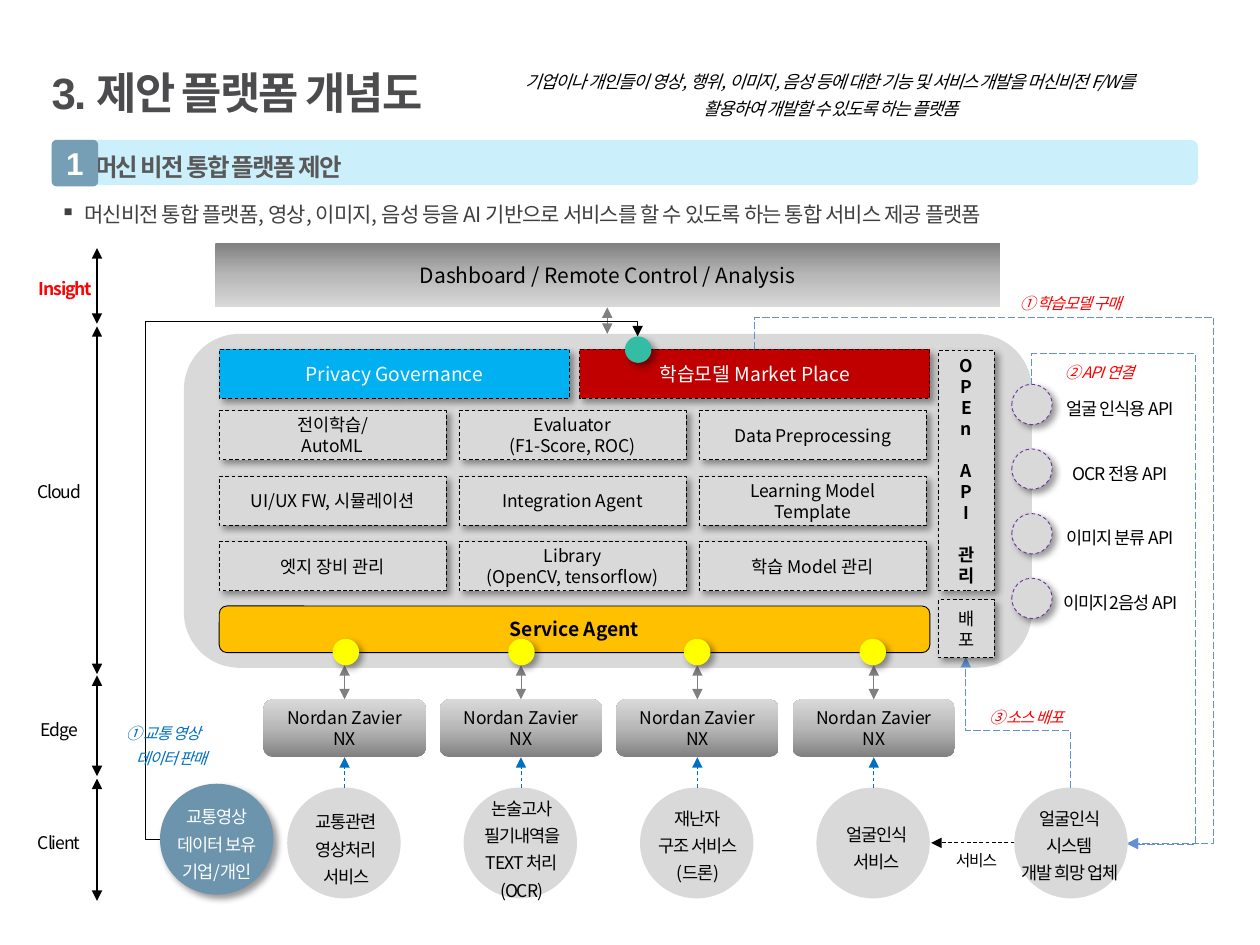
from copy import deepcopy

from lxml import etree
from pptx import Presentation
from pptx.dml.color import RGBColor
from pptx.enum import dml, shapes, text
from pptx.oxml.ns import qn
from pptx.util import Inches, Pt

THEME = {
    "latin": "Noto Sans CJK KR", "heading": "Arial",
    "black": "000000", "white": "FFFFFF", "panel": "D9D9D9", "gray": "808080",
    "title": "4C4C4E", "banner": "00B0F0", "banner_text": "595959", "badge": "769FB6",
    "body": "404040", "red": "FF0000", "market": "C00000", "agent": "FFC000",
    "port": "FFFF00", "api": "7030A0", "flow": "6390D4", "blue": "0070C0",
    "seller": "6C95AD", "hub": "33BDA4", "ramp": ("808080", "B7B7B7", "D9D9D9"),
    "sz_title": 25, "sz_banner": 14, "sz_badge": 18, "sz_lead": 12, "sz_bar": 11,
    "sz_text": 10, "sz_note": 9,
}

SUMMARY = ["기업이나 개인들이 영상, 행위, 이미지, 음성 등에 대한 기능 및 서비스 개발을 머신비전 F/W를",
           "활용하여 개발할 수 있도록 하는 플랫폼"]
LEAD = "머신비전 통합 플랫폼, 영상, 이미지, 음성 등을 AI 기반으로 서비스를 할 수 있도록 하는 통합 서비스 제공 플랫폼"
# name, label left, label top, axis start, axis end, colour
LAYERS = [("Insight", 0.12, 2.16, 1.97, 2.57, "red"), ("Cloud", 0.07, 3.77, 2.59, 5.35, "black"),
          ("Edge", 0.07, 5.66, 5.36, 6.16, "black"), ("Client", 0.07, 6.55, 6.18, 7.15, "black")]
MODULES = [[["전이학습/", "AutoML"], ["Evaluator", "(F1-Score, ROC)"], ["Data Preprocessing"]],
           [["UI/UX FW, 시뮬레이션"], ["Integration Agent"], ["Learning Model Template"]],
           [["엣지 장비 관리"], ["Library", "(OpenCV, tensorflow)"], ["학습 Model 관리"]]]
EDGE_DEVICE = "Nordan Zavier NX"
# text, left, top
CLIENTS = [(["교통관련", "영상처리", "서비스"], 2.35, 6.39),
           (["논술고사", "필기내역을 TEXT 처리", "(OCR)"], 3.74, 6.28),
           (["재난자", "구조 서비스(드론)"], 5.14, 6.36),
           (["얼굴인식", "서비스"], 6.56, 6.49)]
APIS = ["얼굴 인식용 API", "OCR 전용 API", "이미지 분류 API", "이미지2음성 API"]
# text, left, top, width, colour, italic
NOTES = [(["① 학습모델 구매"], 7.89, 2.29, 1.21, "red", True),
         (["② API 연결"], 8.12, 2.83, 1.21, "red", True),
         (["③ 소스 배포"], 7.54, 5.57, 1.21, "red", True),
         (["서비스"], 7.35, 6.71, 0.8, "black", False)]
# frame, rotation, flip, preset, adjustments, colour, dash
FLOWS = {
    "purchase": ((5.51, 3.25, 3.92, 2.96), 270, "flipH", "bentConnector4", (-0.064, 1.231), "flow", "LONG_DASH"),
    "api": ((6.75, 4.5, 3.64, 0.76), 270, "flipH", "bentConnector4", (-0.069, 1.711), "flow", "LONG_DASH"),
    "deploy": ((7.56, 5.32, 1.04, 0.83), 270, "flipV", "bentConnector3", (0.439,), "flow", "LONG_DASH"),
    "sale": ((1.27, 2.67, 3.79, 3.99), 180, "flipH", "bentConnector4", (-0.03, 1.029), "black", None),
}

prs = Presentation()
prs.slide_width, prs.slide_height = Inches(10), Inches(7.5)
slide = prs.slides.add_slide(prs.slide_layouts[6])
SHAPE = shapes.MSO_SHAPE


def rgb(name):
    return RGBColor.from_string(THEME[name])


def sub(parent, tag, **attrs):
    return etree.SubElement(parent, qn(tag), {key: str(value) for key, value in attrs.items()})


def write(frame, lines, size="sz_text", color="black", bold=False, italic=False,
          spacing=0, leading=None, font="latin", align="CENTER"):
    frame.word_wrap = True
    frame.text = "\n".join(lines)
    for paragraph in frame.paragraphs:
        paragraph.alignment = getattr(text.PP_ALIGN, align)
        if leading:
            paragraph.line_spacing = leading
        for run in paragraph.runs:
            run.font.size, run.font.name = Pt(THEME[size]), THEME[font]
            run.font.bold, run.font.italic = bold, italic
            run.font.color.rgb = rgb(color)
            props = run._r.get_or_add_rPr()
            props.set("spc", str(round(spacing * 100)))
            sub(props, "a:ea", typeface=THEME["latin"])
    return frame


def label(box, lines, **style):
    frame = slide.shapes.add_textbox(*map(Inches, box)).text_frame
    frame.margin_left = frame.margin_right = frame.margin_top = frame.margin_bottom = 0
    return write(frame, lines, **{"spacing": -0.6, "leading": 1.3, **style})


def block(kind, box, fill="panel", lines=(), line=None, dash=True, shadow=False, **style):
    shape = slide.shapes.add_shape(kind, *map(Inches, box))
    shape.shadow.inherit = False
    shape.fill.solid()
    shape.fill.fore_color.rgb = rgb(fill)
    if line:
        shape.line.color.rgb, shape.line.width = rgb(line), Pt(0.5)
        if dash:
            shape.line.dash_style = dml.MSO_LINE.DASH
    else:
        shape.line.fill.background()
    if shadow:
        effects = shape._element.spPr.find(qn("a:effectLst"))
        outer = sub(effects, "a:outerShdw", blurRad=Pt(4), dist=Pt(3), dir=45 * 60000, algn="tl", rotWithShape=0)
        sub(sub(outer, "a:srgbClr", val=THEME["black"]), "a:alpha", val=40000)
    if lines:
        shape.text_frame.vertical_anchor = text.MSO_ANCHOR.MIDDLE
        write(shape.text_frame, lines, **style)
    return shape


def ramp(shape, angle):
    """Three-stop gray gradient; the angle runs counter-clockwise."""
    shape.fill.gradient()
    shape.fill.gradient_angle = angle
    stops = shape._element.spPr.find(".//" + qn("a:gsLst"))
    stops.insert(1, deepcopy(stops[0]))
    for stop, position, color in zip(shape.fill.gradient_stops, (0, 0.5, 1), THEME["ramp"]):
        stop.position, stop.color.rgb = position, RGBColor.from_string(color)


def arrow(start, end, color, width=0.5, dash=None, both=False, kind="STRAIGHT"):
    link = slide.shapes.add_connector(getattr(shapes.MSO_CONNECTOR, kind), *map(Inches, start + end))
    link.line.color.rgb, link.line.width = rgb(color), Pt(width)
    if dash:
        link.line.dash_style = getattr(dml.MSO_LINE, dash)
    ln = link.line._get_or_add_ln()
    if both:
        sub(ln, "a:headEnd", type="triangle")
    sub(ln, "a:tailEnd", type="triangle")
    sub(link._element.spPr, "a:effectLst")
    return link


def flow(name):
    (x, y, w, h), turn, flip, preset, adjustments, color, dash = FLOWS[name]
    props = arrow((x, y), (x + w, y + h), color, dash=dash, kind="ELBOW")._element.spPr
    frame = props.find(qn("a:xfrm"))
    frame.set("rot", str(turn * 60000))
    frame.set(flip, "1")
    geometry = props.find(qn("a:prstGeom"))
    geometry.set("prst", preset)
    guides = geometry.find(qn("a:avLst"))
    if guides is None:
        guides = sub(geometry, "a:avLst")
    for number, value in enumerate(adjustments, 1):
        sub(guides, "a:gd", name=f"adj{number}", fmla=f"val {round(value * 100000)}")


# Heading
label((0.41, 0.57, 8.92, 0.48), ["3. 제안 플랫폼 개념도"], size="sz_title", color="title", bold=True,
      font="heading", spacing=-1, leading=0.9, align="LEFT")
label((3.56, 0.51, 6.07, 0.53), SUMMARY, italic=True)
banner = block(SHAPE.ROUNDED_RECTANGLE, (0.41, 1.11, 9.1, 0.36), "banner", ["머신 비전 통합 플랫폼 제안"],
               size="sz_banner", color="banner_text", bold=True, font="heading", spacing=-1,
               leading=1.3, align="LEFT")
sub(banner._element.spPr.find(qn("a:solidFill"))[0], "a:alpha", val=20000)
banner.text_frame.paragraphs[0]._p.get_or_add_pPr().set("marL", str(Inches(0.23)))
badge = block(SHAPE.ROUNDED_RECTANGLE, (0.41, 1.11, 0.37, 0.37), "badge", ["1"], size="sz_badge",
              color="white", bold=True, font="heading", spacing=-0.5)
badge.adjustments[0] = 0.11
badge.text_frame.margin_left = badge.text_frame.margin_right = 0
lead = label((0.48, 1.6, 9.14, 0.2), [LEAD], size="sz_lead", color="body", spacing=-0.5,
             leading=None, align="LEFT").paragraphs[0]
lead.space_before = lead.space_after = Pt(3)
bullet = lead._p.get_or_add_pPr()
bullet.set("marL", str(Inches(0.19)))
bullet.set("indent", str(Inches(-0.19)))
sub(bullet, "a:buChar", char="▪")

# Layer axis
for name, x, y, top, bottom, color in LAYERS:
    arrow((0.77, top), (0.77, bottom), "black", 1, both=True)
    label((x, y, 0.8, 0.22), [name], color=color, bold=name == "Insight")

# Cloud platform
arrow((4.82, 2.65), (4.82, 2.44), "gray", both=True)
ramp(block(SHAPE.RECTANGLE, (1.71, 1.93, 6.23, 0.51), lines=["Dashboard / Remote Control / Analysis"],
           size="sz_lead"), 270)
block(SHAPE.ROUNDED_RECTANGLE, (1.46, 2.65, 6.73, 2.65))
CARD = {"line": "black", "shadow": True}
for r, row in enumerate(MODULES):
    for c, lines in enumerate(row):
        block(SHAPE.RECTANGLE, (1.74 + 1.905 * c, 3.26 + 0.52 * r, 1.8, 0.39), lines=lines, **CARD)
for x, fill, name in [(1.74, "banner", "Privacy Governance"), (4.6, "market", "학습모델 Market Place")]:
    block(SHAPE.RECTANGLE, (x, 2.77, 2.78, 0.39), fill, [name], size="sz_bar", color="white", **CARD)
block(SHAPE.ROUNDED_RECTANGLE, (1.74, 4.81, 5.64, 0.37), "agent", ["Service Agent"], line="black",
      dash=False, size="sz_bar", bold=True)
open_api = block(SHAPE.RECTANGLE, (7.45, 2.78, 0.44, 1.91), lines=list("OPEnAPI관리"), bold=True, **CARD)
for word_start in (4, 7):
    open_api.text_frame.paragraphs[word_start].space_before = Pt(12)
for i, name in enumerate(APIS):
    y = 3.05 + 0.513 * i
    block(SHAPE.OVAL, (8.03, y, 0.32, 0.32), line="api", shadow=True)
    label((8.3, y + 0.06, 1.18, 0.22), [name])

# Edge devices and their clients
for i, (lines, x, y) in enumerate(CLIENTS):
    shift = 1.4 * i
    center = 2.735 + shift
    ramp(block(SHAPE.ROUNDED_RECTANGLE, (2.09 + shift, 5.55, 1.29, 0.46), lines=[EDGE_DEVICE]), 90)
    block(SHAPE.OVAL, (2.28 + shift, 6.25, 0.9, 0.88))
    label((x, y, 0.8, 0.86), lines)
    arrow((center, 6.25), (center, 6.01), "blue", dash="DASH")
    arrow((center, 5.55), (center, 5.28), "gray", both=True)
    block(SHAPE.OVAL, (2.64 + 1.394 * i, 5.07, 0.21, 0.21), "port", shadow=True)

# Service developer and data seller
block(SHAPE.OVAL, (8.05, 6.25, 0.9, 0.88))
label((7.83, 6.36, 1.32, 0.69), ["얼굴인식", "시스템", "개발 희망 업체"])
for name in ("purchase", "api", "deploy"):
    flow(name)
arrow((8.05, 6.69), (7.39, 6.69), "black", dash="DASH")
block(SHAPE.RECTANGLE, (7.45, 4.76, 0.44, 0.46), lines=["배", "포"], **CARD)
block(SHAPE.OVAL, (1.27, 6.22, 0.9, 0.88), "seller", shadow=True)
label((1.32, 6.35, 0.8, 0.66), ["교통영상", "데이터 보유", "기업/개인"], color="white")
flow("sale")
block(SHAPE.OVAL, (4.96, 2.67, 0.21, 0.21), "hub", shadow=True)
for lines, x, y, w, color, italic in NOTES:
    label((x, y, w, 0.22), lines, size="sz_note", color=color, italic=italic)
sale_note = label((0.69, 5.7, 1.21, 0.43), ["① 교통 영상", "데이터 판매"], size="sz_note", color="blue", italic=True)
sale_note.paragraphs[1]._p.get_or_add_pPr().set("marL", str(Inches(0.13)))

prs.save("out.pptx")
